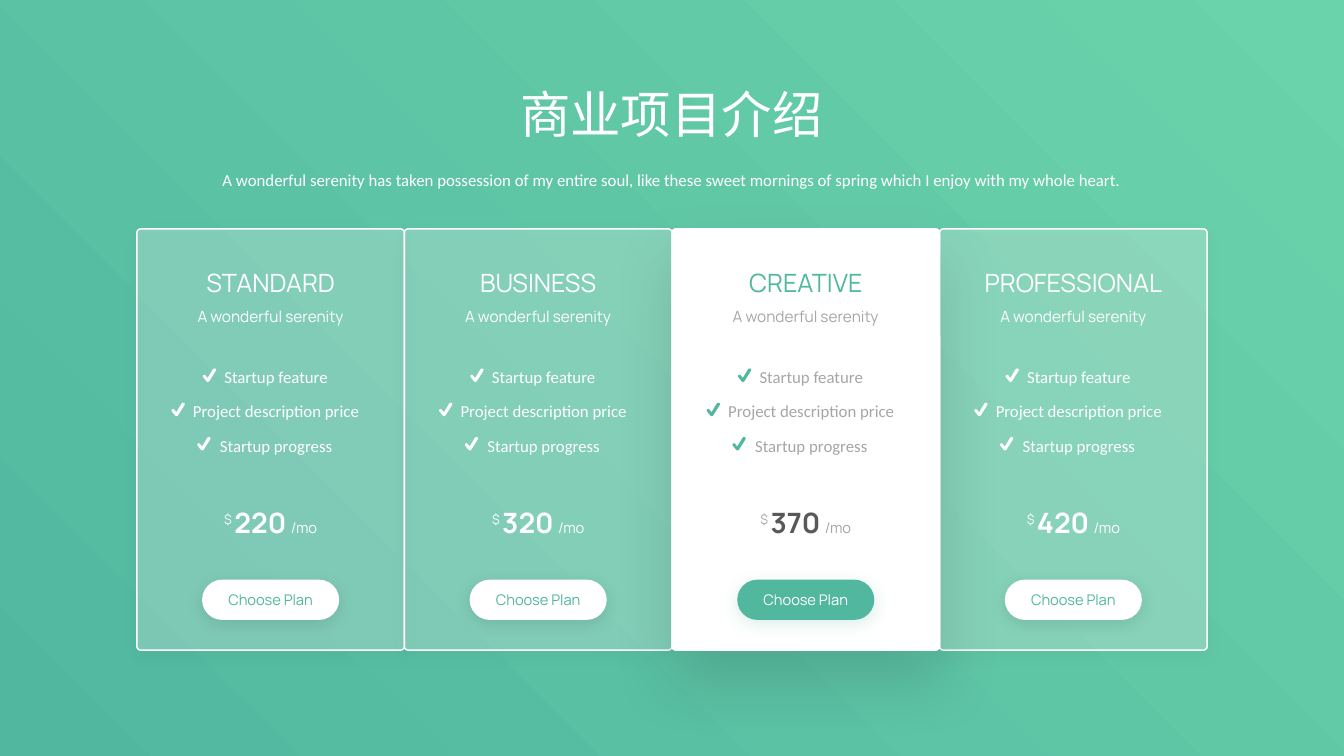
import pptx
import pptx.dml.color
import pptx.enum.shapes
import pptx.enum.text
import pptx.oxml
import pptx.oxml.ns
import pptx.util

COLOURS = {"green": "51B79F", "mint": "6BD3AB", "white": "FFFFFF",
           "grey": "A6A6A6", "dark": "595959", "black": "000000"}
DISPLAY, BODY, CHINESE = "Manrope", "Calibri", "Noto Sans CJK JP"

# Horizontal lengths are percent of the slide's width, vertical ones of its height.
CARD_WIDTH, CARD_TOP, CARD_HEIGHT = 19.91, 30.27, 55.73
CARDS_LEFT = (100 - 4 * CARD_WIDTH) / 2
FEATURE_TOP, FEATURE_STEP = 47.33, 4.53
FEATURES = [("Startup feature", 9.23), ("Project description price", 13.88),
            ("Startup progress", 10.05)]
# Tick outline, in thousandths of an inch
TICK = [(54, 135), (44, 132), (37, 126), (6, 88), (2, 78), (7, 67), (18, 63),
        (29, 69), (50, 96), (103, 8), (114, 1), (127, 3), (134, 13), (131, 25),
        (67, 127), (60, 133)]

# Name, price, column
PLANS = [("STANDARD", "220", 0), ("BUSINESS", "320", 1),
         ("PROFESSIONAL", "420", 3), ("CREATIVE", "370", 2)]
PLAIN = {"alpha": 25, "shadow": ("black", 8, 10, 3), "button": "white",
         "button_text": "green", "button_shadow": ("black", 10, 12, 3),
         "accent": "white", "text": "white", "price": "white"}
FEATURED = {"alpha": 100, "shadow": ("black", 13, 45, 21), "button": "green",
            "button_text": "white", "button_shadow": ("green", 20, 12, 3),
            "accent": "green", "text": "grey", "price": "dark"}


def rgb(name):
    return pptx.dml.color.RGBColor.from_string(COLOURS[name])


class Page:
    def __init__(self, deck):
        self.deck = deck
        self.slide = deck.slides.add_slide(deck.slide_layouts[5])

    def place(self, left, top, width, height):
        """Turn percent of the slide into lengths."""
        across, down = self.deck.slide_width / 100, self.deck.slide_height / 100
        return [int(left * across), int(top * down), int(width * across), int(height * down)]

    def background(self, start, end):
        fill = self.slide.background.fill
        fill.gradient()
        fill.gradient_angle = 45
        for stop, colour, position in zip(fill.gradient_stops, (start, end), (0, 1)):
            stop.color.rgb = rgb(colour)
            stop.position = position

    def set_text(self, shape, spans, font=DISPLAY, spacing=None, anchor="TOP"):
        """Fill one centred paragraph; each span is (text, size, colour, extras)."""
        frame = shape.text_frame
        frame.auto_size = pptx.enum.text.MSO_AUTO_SIZE.NONE
        frame.word_wrap = False
        frame.vertical_anchor = pptx.enum.text.MSO_ANCHOR[anchor]
        para = frame.paragraphs[0]
        para.alignment = pptx.enum.text.PP_ALIGN.CENTER
        if spacing:
            para.line_spacing = spacing
        for text, size, colour, *extras in spans:
            span = para.add_run()
            span.text = text
            span.font.size = pptx.util.Pt(size)
            span.font.name = font
            span.font.bold = "bold" in extras
            span.font.color.rgb = rgb(colour)
            properties = span._r.get_or_add_rPr()
            east_asian = pptx.oxml.parse_xml(
                f'<a:ea {pptx.oxml.ns.nsdecls("a")} typeface="{font}"/>')
            properties.append(east_asian)
            if "raised" in extras:
                properties.set("baseline", "40000")

    def title(self, box, text):
        title = self.slide.shapes.title
        title.left, title.top, title.width, title.height = self.place(*box)
        self.set_text(title, [(text, 36, "white")], CHINESE)

    def text(self, box, spans, font=DISPLAY, spacing=None):
        self.set_text(self.slide.shapes.add_textbox(*self.place(*box)), spans, font, spacing)

    def paint(self, shape, colour, alpha=100, line=None):
        shape.shadow.inherit = False
        shape.fill.solid()
        shape.fill.fore_color.rgb = rgb(colour)
        if alpha < 100:
            tint = shape._element.spPr.find(".//" + pptx.oxml.ns.qn("a:srgbClr"))
            tint.append(pptx.oxml.parse_xml(
                f'<a:alpha {pptx.oxml.ns.nsdecls("a")} val="{alpha * 1000}"/>'))
        if line:
            shape.line.color.rgb = rgb(line)
            shape.line.width = pptx.util.Pt(1)
        else:
            shape.line.fill.background()

    def rounded(self, box, corner, colour, shadow, alpha=100, line=None):
        """Add a rounded rectangle whose shadow is (colour, alpha, blur, distance)."""
        shape = self.slide.shapes.add_shape(
            pptx.enum.shapes.MSO_SHAPE.ROUNDED_RECTANGLE, *self.place(*box))
        shape.adjustments[0] = corner
        self.paint(shape, colour, alpha, line)
        shade, opacity, blur, distance = shadow
        effects = shape._element.spPr.find(pptx.oxml.ns.qn("a:effectLst"))
        effects.append(pptx.oxml.parse_xml(
            f'<a:outerShdw {pptx.oxml.ns.nsdecls("a")} blurRad="{pptx.util.Pt(blur)}" '
            f'dist="{pptx.util.Pt(distance)}" dir="5400000" algn="t" rotWithShape="0">'
            f'<a:srgbClr val="{COLOURS[shade]}"><a:alpha val="{opacity * 1000}"/>'
            '</a:srgbClr></a:outerShdw>'))
        return shape

    def tick(self, left, top, colour):
        builder = self.slide.shapes.build_freeform(*TICK[0], scale=914.4)
        builder.add_line_segments(TICK[1:], close=True)
        self.paint(builder.convert_to_shape(*self.place(left, top, 0, 0)[:2]), colour)

    def plan(self, name, price, column, style):
        left = CARDS_LEFT + column * CARD_WIDTH
        centre = left + CARD_WIDTH / 2

        def centred(top, width, height):
            return centre - width / 2, top, width, height

        self.rounded((left, CARD_TOP, CARD_WIDTH, CARD_HEIGHT), 0.014, "white",
                     style["shadow"], style["alpha"], "white")
        button = self.rounded(centred(76.67, 10.2, 5.33), 0.5, style["button"],
                              style["button_shadow"])
        self.set_text(button, [("Choose Plan", 10.5, style["button_text"])], anchor="MIDDLE")
        self.text(centred(34.67, 16.43, 5.33), [(name, 18, style["accent"])])
        self.text(centred(40, 16.43, 3.87), [("A wonderful serenity", 11, style["text"])])
        for row, (feature, width) in enumerate(FEATURES):
            top = FEATURE_TOP + row * FEATURE_STEP
            start = centre + 0.41 - width / 2
            self.tick(start - 0.86, top + 1.4, style["accent"])
            self.text((start, top, width, 4.4), [(feature, 12, style["text"])], BODY, 1.2)
        self.text(centred(66.27, 12.68, 5.87), [
            ("$ ", 16, style["text"], "raised"), (price, 20, style["price"], "bold"),
            (" ", 16, style["text"]), ("/mo", 10.5, style["text"])])


def main():
    deck = pptx.Presentation()
    deck.slide_width = pptx.util.Inches(13.33)
    deck.slide_height = pptx.util.Inches(7.5)
    page = Page(deck)
    page.background("green", "mint")
    page.title((14.4, 10.27, 71.1, 9.47), "商业项目介绍")
    page.text((12.53, 21.2, 74.94, 4.53), [(
        "A wonderful serenity has taken possession of my entire soul, like these sweet "
        "mornings of spring which I enjoy with my whole heart.", 12, "white")], BODY, 1.2)
    for name, price, column in PLANS:
        page.plan(name, price, column, FEATURED if name == "CREATIVE" else PLAIN)
    deck.save("out.pptx")


if __name__ == "__main__":
    main()
